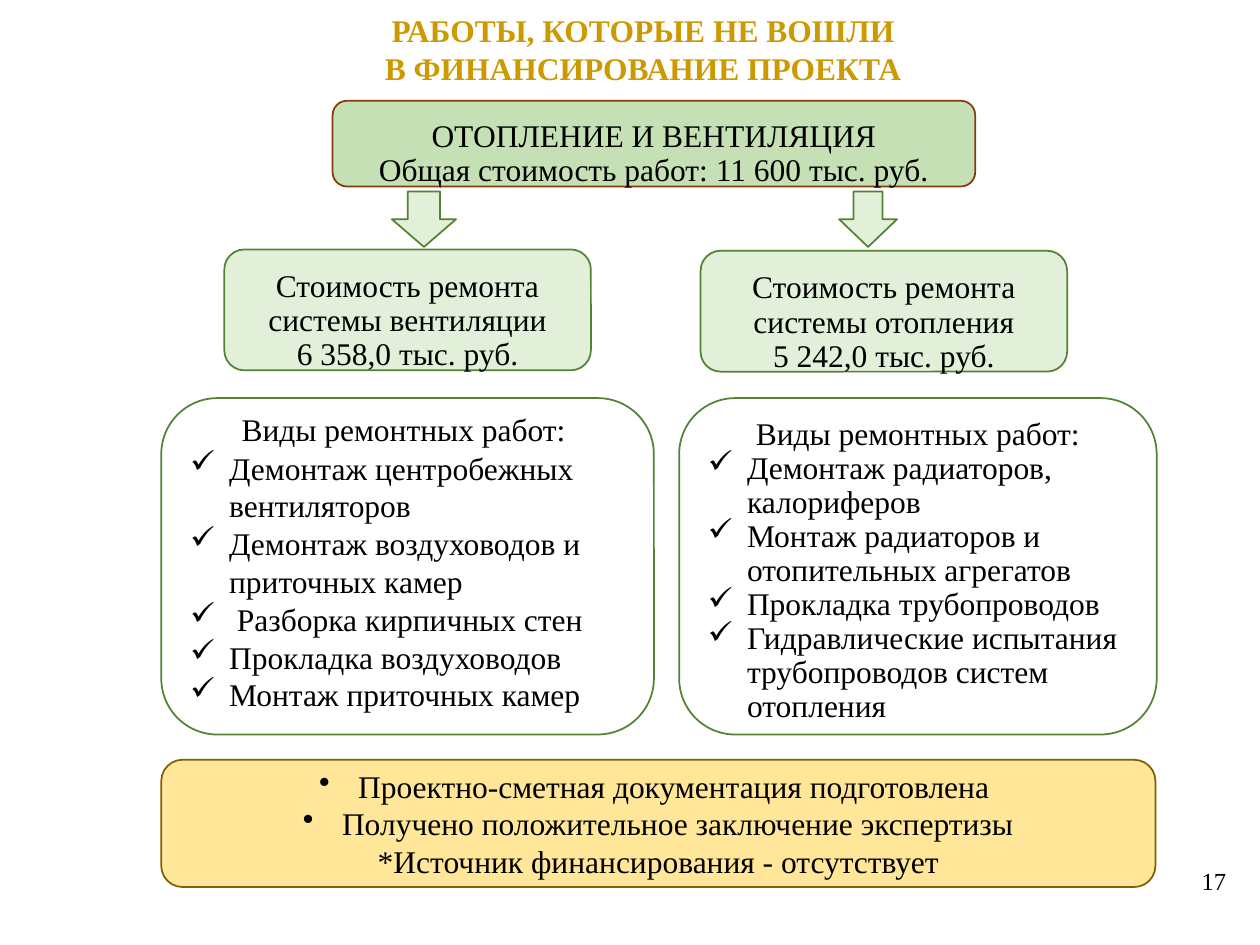
import dataclasses
import lxml.etree
import pptx
import pptx.dml.color
import pptx.enum.shapes
import pptx.enum.text
import pptx.oxml.ns
import pptx.util

Inches = pptx.util.Inches
Shape = pptx.enum.shapes.MSO_SHAPE
Align = pptx.enum.text.PP_ALIGN
Anchor = pptx.enum.text.MSO_ANCHOR


@dataclasses.dataclass(frozen=True)
class Theme:
    font: str = "Times New Roman"
    body_size: int = 18
    number_size: int = 14
    line_width: int = 1
    tight: float = 0.9
    ink: str = "000000"
    gold: str = "CC9900"
    white: str = "FFFFFF"
    pale_green: str = "E2F0D9"
    green: str = "C5E0B4"
    green_line: str = "548235"
    brown_line: str = "843C0C"
    yellow: str = "FFE699"
    olive_line: str = "806000"


THEME = Theme()


def rgb(value):
    return pptx.dml.color.RGBColor.from_string(value)


def write(paragraph, text, size=THEME.body_size, color=THEME.ink, bold=False,
          align=Align.CENTER, spacing=1.0, bullet=None):
    if bullet:
        properties = paragraph._p.get_or_add_pPr()
        properties.set("marL", str(Inches(0.31)))
        properties.set("indent", str(-Inches(0.31)))
        mark = lxml.etree.SubElement(properties, pptx.oxml.ns.qn("a:buChar"))
        mark.set("char", bullet)
    paragraph.alignment = align
    paragraph.line_spacing = spacing
    run = paragraph.add_run()
    run.text = text
    run.font.name = THEME.font
    run.font.size = pptx.util.Pt(size)
    run.font.bold = bold
    run.font.color.rgb = rgb(color)


class SlideBuilder:
    def __init__(self, slide, theme):
        self.slide = slide
        self.theme = theme

    def fill_text(self, frame, lines, anchor, top):
        frame.word_wrap = True
        frame.vertical_anchor = anchor
        frame.margin_top = Inches(top)
        for index, (text, style) in enumerate(lines):
            paragraph = frame.add_paragraph() if index else frame.paragraphs[0]
            write(paragraph, text, **style)

    def label(self, box, lines, anchor=Anchor.TOP):
        area = self.slide.shapes.add_textbox(*map(Inches, box))
        self.fill_text(area.text_frame, lines, anchor, 0.05)

    def figure(self, preset, box, fill, line):
        figure = self.slide.shapes.add_shape(preset, *map(Inches, box))
        figure.shadow.inherit = False
        figure.fill.solid()
        figure.fill.fore_color.rgb = rgb(fill)
        figure.line.color.rgb = rgb(line)
        figure.line.width = pptx.util.Pt(self.theme.line_width)
        return figure

    def card(self, box, lines, fill, line, anchor=Anchor.TOP, top=0.12):
        card = self.figure(Shape.ROUNDED_RECTANGLE, box, fill, line)
        self.fill_text(card.text_frame, lines, anchor, top)

    def arrow(self, box):
        self.figure(Shape.DOWN_ARROW, box, self.theme.pale_green, self.theme.green_line)


def main():
    deck = pptx.Presentation()
    deck.slide_width, deck.slide_height = Inches(10), Inches(7.5)
    builder = SlideBuilder(deck.slides.add_slide(deck.slide_layouts[6]), THEME)
    tight = {"spacing": THEME.tight}
    plain = {}
    heading = {"color": THEME.gold, "bold": True}
    dotted = {"bullet": "•"}

    builder.label((7.58, 6.79, 2.25, 0.4),
                  [("17", {"size": THEME.number_size, "align": Align.RIGHT})],
                  Anchor.MIDDLE)

    works = [
        (1.28, 3.91, 0, 1.0, "Виды ремонтных работ: ",
         ["Демонтаж центробежных вентиляторов",
          "Демонтаж воздуховодов и приточных камер",
          " Разборка кирпичных стен",
          "Прокладка воздуховодов",
          "Монтаж приточных камер"]),
        (5.39, 3.79, 0.03, THEME.tight, "Виды ремонтных работ:",
         ["Демонтаж радиаторов, калориферов",
          "Монтаж радиаторов и отопительных агрегатов",
          "Прокладка трубопроводов",
          "Гидравлические испытания трубопроводов систем отопления"]),
    ]
    for left, width, top, spacing, caption, items in works:
        checked = {"bullet": "✓", "align": Align.LEFT, "spacing": spacing}
        builder.card((left, 3.16, width, 2.67),
                     [(caption, tight)] + [(item, checked) for item in items],
                     THEME.white, THEME.green_line, top=top)

    builder.card((1.28, 6.03, 7.89, 1.01),
                 [("Проектно-сметная документация подготовлена ", dotted),
                  ("Получено положительное заключение экспертизы", dotted),
                  ("*Источник финансирования - отсутствует", plain)],
                 THEME.yellow, THEME.olive_line, Anchor.MIDDLE, 0.05)

    builder.label((1.31, 0.04, 7.59, 1),
                  [(" РАБОТЫ, КОТОРЫЕ НЕ ВОШЛИ ", heading),
                   ("В ФИНАНСИРОВАНИЕ ПРОЕКТА", heading)])

    builder.card((2.64, 0.8, 5.1, 0.68),
                 [("ОТОПЛЕНИЕ И ВЕНТИЛЯЦИЯ", tight),
                  ("Общая стоимость работ: 11 600 тыс. руб.", tight)],
                 THEME.green, THEME.brown_line)

    costs = [
        (1.78, 1.98, "Стоимость ремонта системы вентиляции", "6 358,0 тыс. руб."),
        (5.56, 1.99, "Стоимость ремонта системы отопления", "5 242,0 тыс. руб."),
    ]
    for left, top, subject, price in costs:
        builder.card((left, top, 2.91, 0.96), [(subject, tight), (price, tight)],
                     THEME.pale_green, THEME.green_line)

    for left, width in ((3.11, 0.51), (6.66, 0.46)):
        builder.arrow((left, 1.52, width, 0.44))

    deck.save("out.pptx")


if __name__ == "__main__":
    main()
